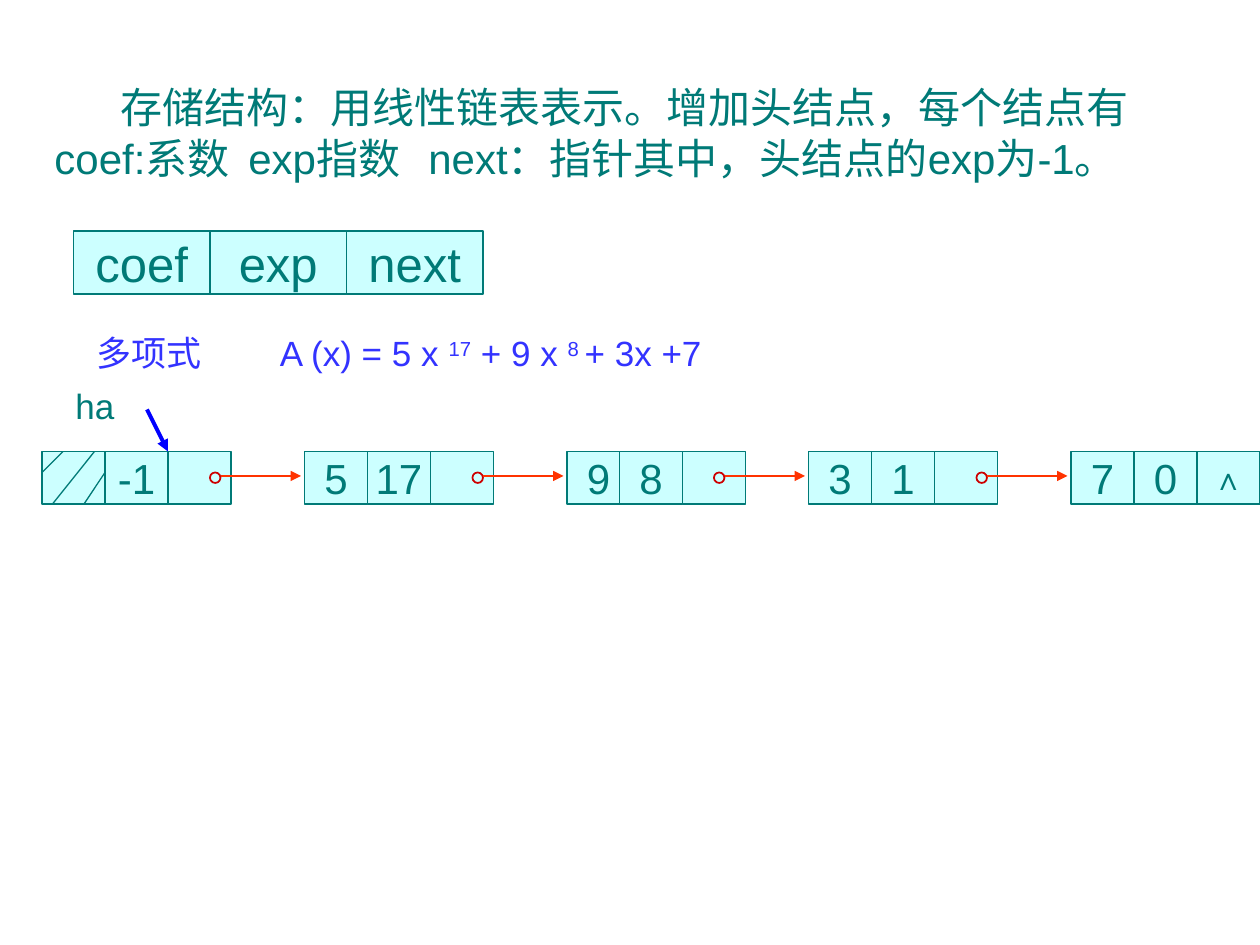
from lxml import etree
from pptx import Presentation
from pptx.dml.color import RGBColor
from pptx.enum import shapes as kinds, text as styles
from pptx.oxml import ns
from pptx.util import Pt

TEAL, AQUA, VIOLET = "007A77", "CCFFFF", "3333FF"
RED, ORANGE, BLUE = "CC0000", "FF3300", "0000FF"
CELL_W, CELL_H = 36, 30


def colour(value):
    """Turn a hex string into a colour."""
    return RGBColor.from_string(value)


def style(paragraph, size, ink):
    """Format every run of a paragraph."""
    for run in paragraph.runs:
        run.font.name = "Arial"
        run.font.size = Pt(size)
        run.font.color.rgb = colour(ink)


def add_parts(paragraph, parts):
    """Add runs given as a text and its extra run attributes."""
    for words, attributes in parts:
        run = paragraph.add_run()
        run.text = words
        for key, value in attributes.items():
            run._r.get_or_add_rPr().set(key, str(value))


def gap(points):
    """Describe one space widened by the given points."""
    return " ", {"spc": round(points * 100)}


def text_frame(parent, x, y, w, h):
    """Add a wrapping text box and return its frame."""
    frame = parent.add_textbox(Pt(x), Pt(y), Pt(w), Pt(h)).text_frame
    frame.word_wrap = True
    frame.auto_size = styles.MSO_AUTO_SIZE.SHAPE_TO_FIT_TEXT
    return frame


def outlined(parent, kind, x, y, w, h, ink, weight):
    """Add an aqua shape with a coloured outline."""
    shape = parent.add_shape(kind, Pt(x), Pt(y), Pt(w), Pt(h))
    shape.shadow.inherit = False
    shape.fill.solid()
    shape.fill.fore_color.rgb = colour(AQUA)
    shape.line.color.rgb = colour(ink)
    shape.line.width = Pt(weight)
    return shape


def add_cell(parent, x, y, w, h, label="", size=24):
    """Add one field of a node with its centred label."""
    cell = outlined(parent, kinds.MSO_SHAPE.RECTANGLE, x, y, w, h, TEAL, 0.74)
    if label:
        frame = cell.text_frame
        frame.text = label
        frame.word_wrap = False
        frame.vertical_anchor = styles.MSO_ANCHOR.MIDDLE
        frame.paragraphs[0].alignment = styles.PP_ALIGN.CENTER
        style(frame.paragraphs[0], size, TEAL)


def add_line(parent, start, end, ink, weight, arrow=False):
    """Add a straight line, with an arrowhead at its end if asked."""
    line = parent.add_connector(kinds.MSO_CONNECTOR.STRAIGHT, *map(Pt, start + end))
    line.line.color.rgb = colour(ink)
    line.line.width = Pt(weight)
    if arrow:
        etree.SubElement(line.line._get_or_add_ln(), ns.qn("a:tailEnd"), type="triangle")
    etree.SubElement(line._element.spPr, ns.qn("a:effectLst"))


def add_intro(parent, x, y, w, h):
    """Describe the storage structure."""
    frame = text_frame(parent, x, y, w, h)
    frame.text = "存储结构：用线性链表表示。增加头结点，每个结点有\ncoef:系数"
    storage, fields = frame.paragraphs
    storage._p.get_or_add_pPr().set("indent", str(Pt(37.6)))
    add_parts(fields, [gap(5.4), ("exp指数", {}), gap(10.8),
                       ("next：指针其中，头结点的exp为-1。", {})])
    for paragraph in frame.paragraphs:
        style(paragraph, 24, TEAL)


def add_record(parent, x, y, w, h):
    """Show the three fields of a node side by side."""
    fields = ("coef", "exp", "next")
    for i, field in enumerate(fields):
        add_cell(parent, x + i * w / len(fields), y, w / len(fields), h, field, 28)


def add_polynomial(parent, x, y, w, h):
    """Write the polynomial with raised exponents."""
    formula = text_frame(parent, x, y, w, h).paragraphs[0]
    formula.space_before = Pt(7.5)
    formula.text = "多项式"
    raised = {"baseline": 30000}
    add_parts(formula, [gap(40.3), ("A (x) = 5 x ", {}), ("17", raised),
                        (" + 9 x ", {}), ("8 ", raised), ("+ 3x +7", {})])
    style(formula, 20, VIOLET)


def add_node(parent, x, y, coef, exp, end="", exp_offset=CELL_W):
    """Add a list node of three cells."""
    add_cell(parent, x, y, CELL_W, CELL_H, coef)
    add_cell(parent, x + exp_offset + CELL_W, y, CELL_W, CELL_H, end, 18)
    add_cell(parent, x + exp_offset, y, CELL_W, CELL_H, exp)


def add_link(parent, target_x, y):
    """Add the pointer that leads to the node at target_x."""
    outlined(parent, kinds.MSO_SHAPE.FLOWCHART_CONNECTOR,
             target_x - 54, y + 12, 6, 6, RED, 0.99)
    add_line(parent, (target_x - 48, y + 14), (target_x - 2, y + 14), ORANGE, 0.99, True)


def add_linked_list(parent, x, y):
    """Draw the head pointer and the chain of nodes."""
    head = text_frame(parent, x + 12, y - 42, 60, 32)
    head.text = "ha"
    style(head.paragraphs[0], 20, TEAL)
    nodes = ((0, "", "-1", "", CELL_W), (150, "5", "17", "", CELL_W), (300, "9", "8", "", 30),
             (438, "3", "1", "", CELL_W), (588, "7", "0", "∧", CELL_W))
    for offset, *fields in nodes:
        add_node(parent, x + offset, y, *fields)
    for offset, *_ in nodes[1:]:
        add_link(parent, x + offset, y)
    for top, left, bottom, low in ((12, 0, 0, 12), (30, 6, 0, 30), (36, 24, 12, 30)):
        add_line(parent, (x + top, y + bottom), (x + left, y + low), TEAL, 0.74)
    add_line(parent, (x + 60, y - 24), (x + 72, y), BLUE, 2.24, True)


def build():
    """Assemble and save the slide."""
    deck = Presentation()
    deck.slide_width, deck.slide_height = Pt(720), Pt(540)
    slide = deck.slides.add_slide(deck.slide_layouts[6])
    add_intro(slide.shapes, 24, 43.2, 660, 65)
    add_record(slide.shapes.add_group_shape().shapes, 42, 132, 234, 36)
    add_polynomial(slide.shapes, 48, 186, 408, 32)
    add_linked_list(slide.shapes.add_group_shape().shapes, 24, 258)
    deck.save("out.pptx")


build()
